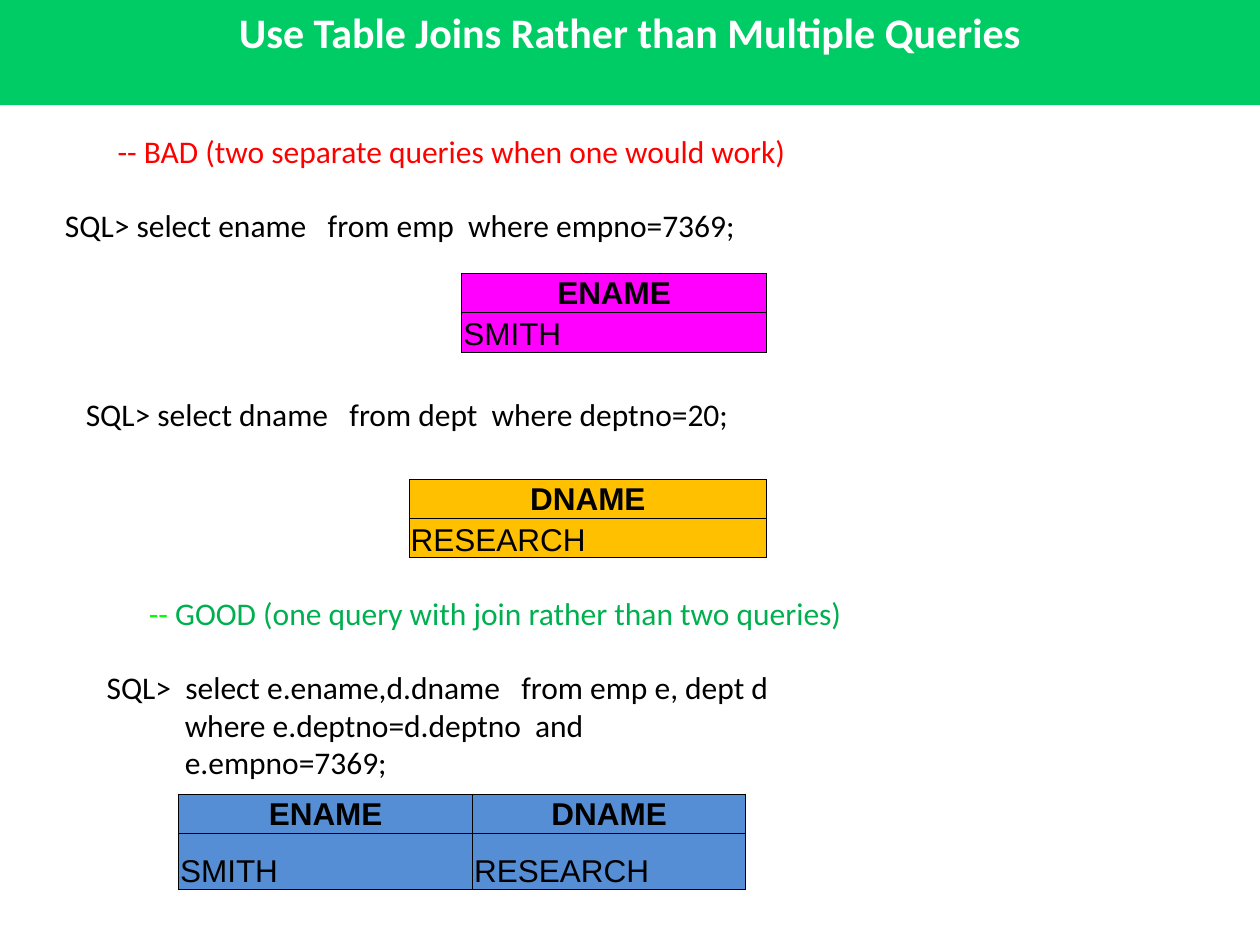
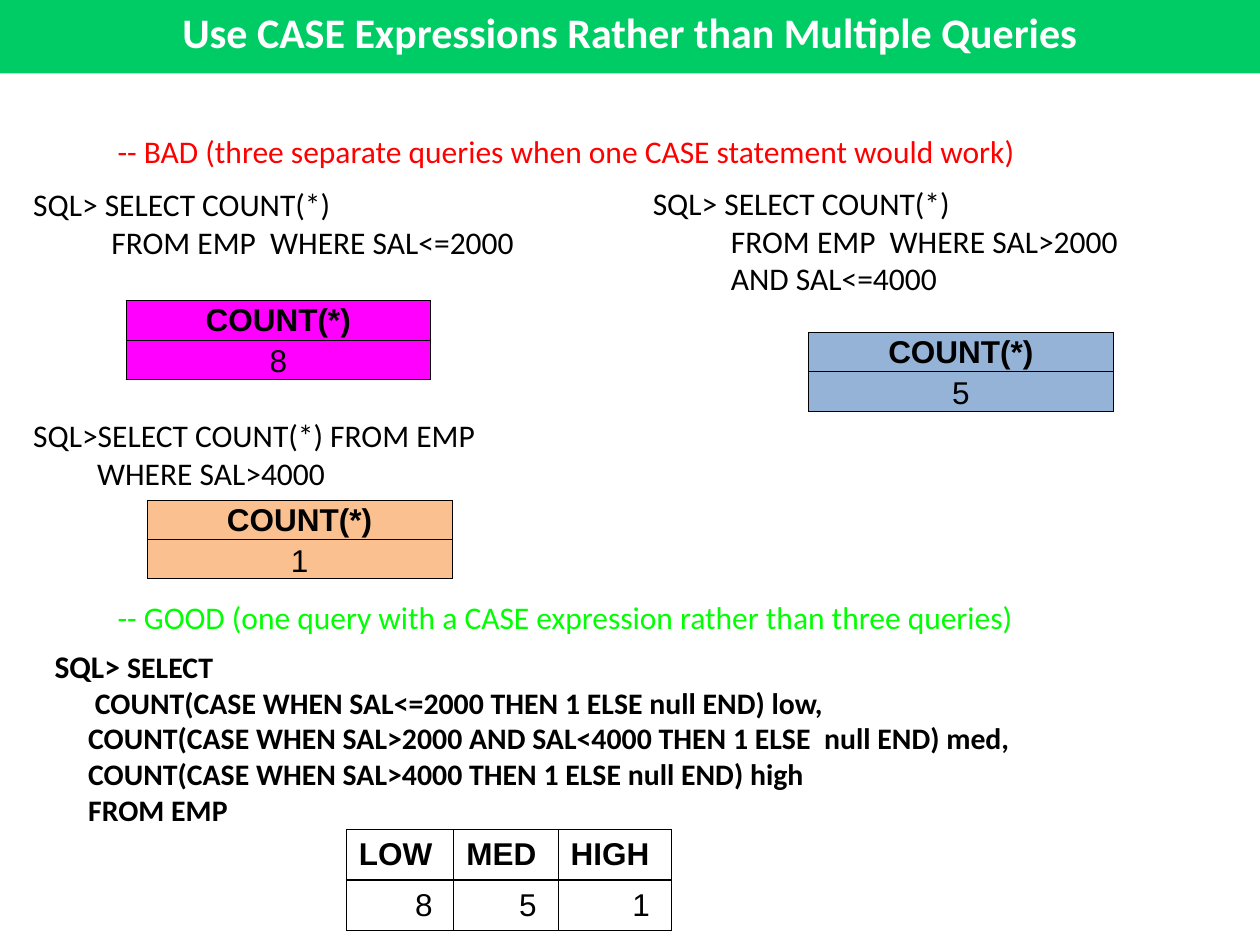
from dataclasses import dataclass

import pptx
import pptx.dml.color
import pptx.enum.text
import pptx.util
from lxml import etree
from pptx.oxml.ns import qn

Cm, Pt = pptx.util.Cm, pptx.util.Pt
ALIGN, ANCHOR = pptx.enum.text.PP_ALIGN, pptx.enum.text.MSO_ANCHOR
AUTO = pptx.enum.text.MSO_AUTO_SIZE


@dataclass(frozen=True)
class Theme:
    text_font: str = "Calibri"
    table_font: str = "Arial"
    title_size: float = 24
    size: float = 18
    small_size: float = 17
    band: str = "00CC66"
    white: str = "FFFFFF"
    black: str = "000000"
    bad: str = "FF0000"
    good: str = "00FF00"
    good_dark: str = "00B050"
    magenta: str = "FF00FF"
    amber: str = "FFC000"
    blue: str = "558ED5"
    pale_blue: str = "95B3D7"
    peach: str = "FAC090"


T = Theme()
WIDTH, HEIGHT = 25.4, 19.05
COUNT_WIDTH = 6.14
ROW = 0.78
LINE = 0.76
TEXT_PADDING = 0.25

# Lengths are in centimetres. A comment is a list of (text, colour) runs.
SLIDES = [
    {
        "title": "Use Table Joins Rather than Multiple Queries",
        "band": 2.12,
        "comments": [
            (2.12, 2.54, 15.37, [("-- BAD (two separate queries when one would work)", T.bad)]),
            (2.75, 11.86, 15.8, [("-- ", T.good),
                                 ("GOOD (one query with join rather than two queries)", T.good_dark)]),
        ],
        "queries": [
            (1.06, 4.02, 18.42, ["SQL> select ename   from emp  where empno=7369;"]),
            (1.48, 7.83, 16.51, ["SQL> select dname   from dept  where deptno=20;"]),
            (1.9, 13.34, 22.43, ["SQL>  select e.ename,d.dname   from emp e, dept d",
                                 "           where e.deptno=d.deptno  and",
                                 "           e.empno=7369;"]),
        ],
        "results": [
            dict(at=(9.31, 5.51), cols=[6.14], fill=T.magenta, cells=[["ENAME"], ["SMITH"]]),
            dict(at=(8.25, 9.66), cols=[7.2], fill=T.amber, cells=[["DNAME"], ["RESEARCH"]]),
            dict(at=(3.6, 16.01), cols=[5.93, 5.5], rows=(ROW, 1.12), fill=T.blue,
                 cells=[["ENAME", "DNAME"], ["SMITH", "RESEARCH"]]),
        ],
    },
    {
        "title": "Use CASE Expressions Rather than Multiple\u00a0Queries".replace("\u00a0", " "),
        "band": 1.48,
        "comments": [
            (2.12, 2.54, 20.7,
             [("-- BAD (three separate queries when one CASE statement would work)", T.bad)]),
            (2.12, 11.94, 20.75,
             [("-- GOOD (one query with a CASE expression rather than three queries)", T.good)]),
        ],
        "queries": [
            (0.42, 3.6, 12.3, ["SQL> SELECT COUNT(*)",
                               "           FROM EMP  WHERE SAL<=2000"]),
            (12.91, 3.58, 12.3, ["SQL> SELECT COUNT(*)",
                                 "           FROM EMP  WHERE SAL>2000",
                                 "           AND SAL<=4000"]),
            (0.42, 8.26, 12.7, ["SQL>SELECT COUNT(*) FROM EMP",
                                "         WHERE SAL>4000"]),
        ],
        "case_query": (0.85, 12.91, 24.55, "SQL> ", [
            "SELECT",
            "      COUNT(CASE WHEN SAL<=2000 THEN 1 ELSE null END) low,",
            "     COUNT(CASE WHEN SAL>2000 AND SAL<4000 THEN 1 ELSE  null END) med,",
            "     COUNT(CASE WHEN SAL>4000 THEN 1 ELSE null END) high",
            "     FROM EMP",
        ]),
        "results": [
            dict(at=at, cols=[COUNT_WIDTH], fill=fill, align=ALIGN.CENTER,
                 cells=[["COUNT(*)"], [count]])
            for at, fill, count in [((2.54, 6.06), T.magenta, "8"),
                                    ((16.3, 6.7), T.pale_blue, "5"),
                                    ((2.97, 10.08), T.peach, "1")]
        ] + [
            dict(at=(6.98, 16.72), cols=[2.17, 2.1, 2.28], rows=(1.02, 1.02), border=0.75,
                 roomy=True, align=ALIGN.RIGHT,
                 cells=[["LOW", "MED", "HIGH"], ["8 ", "5 ", "1 "]]),
        ],
    },
]


def rgb(value):
    return pptx.dml.color.RGBColor.from_string(value)


def set_font(font, name=T.text_font, size=T.size, color=T.black, bold=False):
    font.name, font.size, font.bold = name, Pt(size), bold
    font.color.rgb = rgb(color)


def add_title(s, text, band_height):
    """Turn the title placeholder into the green band across the top."""
    title = s.shapes.title
    title.left, title.top, title.width, title.height = 0, 0, Cm(WIDTH), Cm(band_height)
    title.fill.solid()
    title.fill.fore_color.rgb = rgb(T.band)
    tf = title.text_frame
    tf.text, tf.auto_size, tf.vertical_anchor = text, AUTO.NONE, ANCHOR.TOP
    p = tf.paragraphs[0]
    p.alignment = ALIGN.CENTER
    set_font(p.font, size=T.title_size, color=T.white, bold=True)


def add_text(s, left, top, width, lines=1, wrap=True):
    height = lines * LINE + TEXT_PADDING
    tf = s.shapes.add_textbox(Cm(left), Cm(top), Cm(width), Cm(height)).text_frame
    tf.word_wrap, tf.auto_size = wrap, AUTO.SHAPE_TO_FIT_TEXT
    return tf


def add_comment(s, left, top, width, runs):
    tf = add_text(s, left, top, width, wrap=False)
    tf.vertical_anchor = ANCHOR.MIDDLE
    for text, color in runs:
        r = tf.paragraphs[0].add_run()
        r.text = text
        set_font(r.font, color=color)


def add_query(s, left, top, width, lines, **font):
    tf = add_text(s, left, top, width, len(lines))
    tf.text = "\n".join(lines)
    for p in tf.paragraphs:
        set_font(p.font, **font)
    return tf


def add_case_query(s, left, top, width, prompt, lines):
    """Bold query whose prompt is a little larger than its code."""
    tf = add_query(s, left, top, width, lines, size=T.small_size, bold=True)
    p = tf.paragraphs[0]
    p.runs[0].text = prompt
    p.runs[0].font.size = Pt(T.size)
    p.add_run().text = lines[0]


def add_borders(cell, points):
    tc_pr = cell._tc.get_or_add_tcPr()
    for side in ("lnL", "lnR", "lnT", "lnB"):
        ln = etree.SubElement(tc_pr, qn(f"a:{side}"), w=str(Pt(points)))
        fill = etree.SubElement(ln, qn("a:solidFill"))
        etree.SubElement(fill, qn("a:srgbClr"), val=T.black)


def add_result(s, at, cols, cells, rows=(ROW, ROW), fill=None, border=0.5,
               align=ALIGN.LEFT, roomy=False):
    """Query result: a bold header row above one row of values."""
    left, top = at
    table = s.shapes.add_table(len(rows), len(cols), Cm(left), Cm(top),
                               Cm(sum(cols)), Cm(sum(rows))).table
    table.first_row = table.horz_banding = False
    for column, width in zip(table.columns, cols):
        column.width = Cm(width)
    for i, (row, height) in enumerate(zip(table.rows, rows)):
        row.height = Cm(height)
        header = i == 0
        for cell, text in zip(row.cells, cells[i]):
            cell.text = text
            if not roomy:
                cell.margin_left = cell.margin_right = cell.margin_top = Cm(0.03)
                cell.margin_bottom = 0
            cell.vertical_anchor = ANCHOR.MIDDLE if header or roomy else ANCHOR.BOTTOM
            add_borders(cell, border)
            if fill:
                cell.fill.solid()
                cell.fill.fore_color.rgb = rgb(fill)
            else:
                cell.fill.background()
            p = cell.text_frame.paragraphs[0]
            if header:
                p.alignment = ALIGN.LEFT if roomy else ALIGN.CENTER
            else:
                p.alignment = align
            set_font(p.font, name=T.table_font, bold=header)


def main():
    prs = pptx.Presentation()
    prs.slide_width, prs.slide_height = Cm(WIDTH), Cm(HEIGHT)
    for content in SLIDES:
        s = prs.slides.add_slide(prs.slide_layouts[5])
        add_title(s, content["title"], content["band"])
        for comment in content["comments"]:
            add_comment(s, *comment)
        for query in content["queries"]:
            add_query(s, *query)
        if "case_query" in content:
            add_case_query(s, *content["case_query"])
        for result in content["results"]:
            add_result(s, **result)
    prs.save("out.pptx")


if __name__ == "__main__":
    main()
